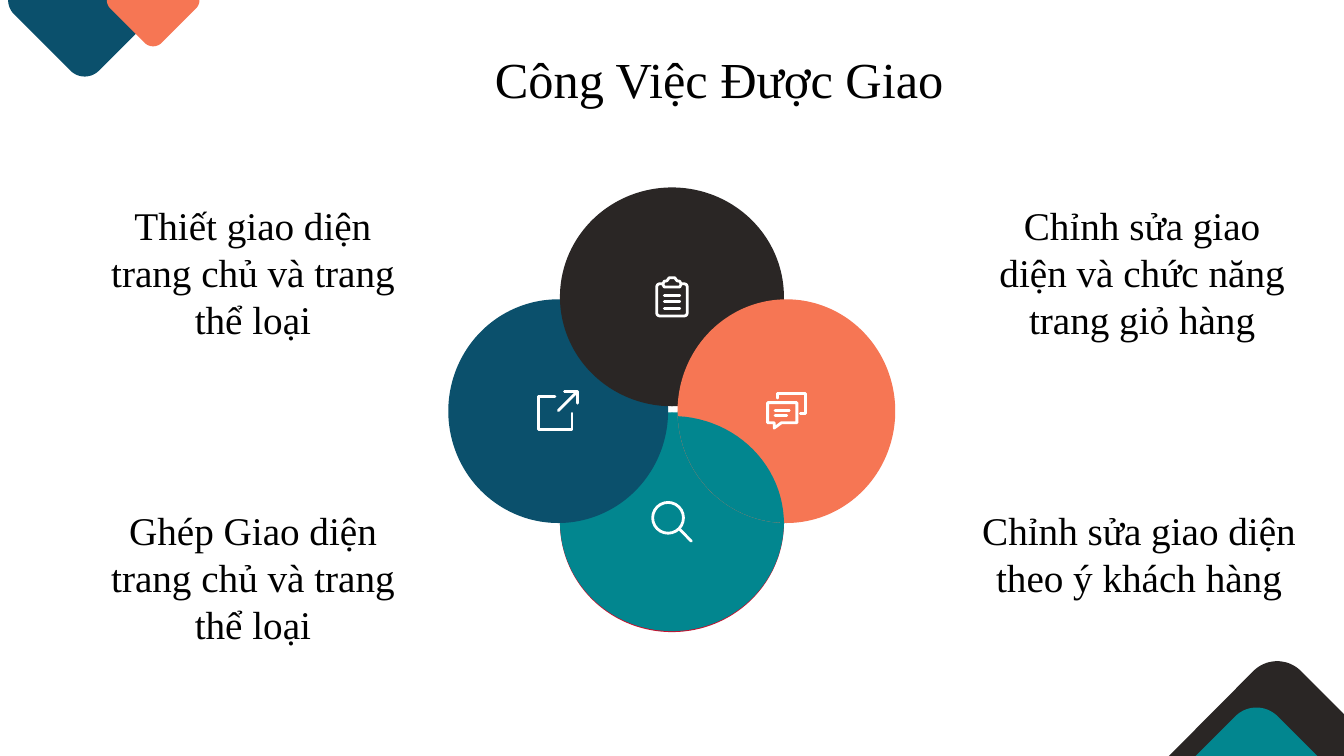
from math import cos, radians, sin

from lxml.etree import SubElement
from pptx import Presentation
from pptx.dml.color import RGBColor
from pptx.enum.shapes import MSO_CONNECTOR, MSO_SHAPE
from pptx.enum.text import MSO_ANCHOR, MSO_AUTO_SIZE, PP_ALIGN
from pptx.oxml.ns import qn
from pptx.util import Pt

NAVY = RGBColor(0x0B, 0x50, 0x6C)
CORAL = RGBColor(0xF6, 0x76, 0x54)
DARK = RGBColor(0x2A, 0x26, 0x25)
TEAL = RGBColor(0x02, 0x86, 0x8F)
RED = RGBColor(0xC5, 0x12, 0x2F)
WHITE = RGBColor(0xFF, 0xFF, 0xFF)
BLACK = RGBColor(0, 0, 0)
WIDTH, HEIGHT = 960, 540


def arc(cx, cy, rx, ry, start, end, steps=24):
    angles = [radians(start + (end - start) * i / steps) for i in range(steps + 1)]
    return [(cx + rx * cos(a), cy + ry * sin(a)) for a in angles]


def hanging_diamond(cx, half, r):
    reach = half - r
    return (arc(cx + reach, 0, r, r, 0, 45)
            + arc(cx, reach, r, r, 45, 135)
            + arc(cx - reach, 0, r, r, 135, 180))


def rising_tip(cx, top, r):
    return arc(cx, top + r, r, r, 225, 315)


class Deck:
    font = "Times New Roman"
    stroke = Pt(2)

    def __init__(self, prs):
        self.s = prs.slides.add_slide(prs.slide_layouts[5])

    def paint(self, sp, fill=None, line=None):
        sp.shadow.inherit = False
        if fill is None:
            sp.fill.background()
        else:
            sp.fill.solid()
            sp.fill.fore_color.rgb = fill
        if line is None:
            sp.line.fill.background()
        else:
            sp.line.color.rgb = line
            sp.line.width = self.stroke
            self.soften(sp)

    def soften(self, sp):
        ln = sp._element.spPr.find(qn("a:ln"))
        ln.set("cap", "rnd")
        SubElement(ln, qn("a:round"))

    def oval(self, x, y, w, h, fill=None, line=None):
        sp = self.s.shapes.add_shape(MSO_SHAPE.OVAL, Pt(x), Pt(y), Pt(w), Pt(h))
        self.paint(sp, fill, line)

    def card(self, x, y, w, h, line):
        sp = self.s.shapes.add_shape(MSO_SHAPE.ROUNDED_RECTANGLE, Pt(x), Pt(y), Pt(w), Pt(h))
        sp.adjustments[0] = 0.1
        self.paint(sp, line=line)

    def outline(self, points, fill=None, line=None, close=True):
        pts = [(Pt(x), Pt(y)) for x, y in points]
        builder = self.s.shapes.build_freeform(*pts[0])
        builder.add_line_segments(pts[1:], close=close)
        self.paint(builder.convert_to_shape(), fill, line)

    def line(self, x1, y1, x2, y2):
        sp = self.s.shapes.add_connector(MSO_CONNECTOR.STRAIGHT, Pt(x1), Pt(y1), Pt(x2), Pt(y2))
        sp.line.color.rgb = WHITE
        sp.line.width = self.stroke
        self.soften(sp)
        SubElement(sp._element.spPr, qn("a:effectLst"))

    def label(self, sp, text, size, align):
        tf = sp.text_frame
        tf.text = text
        tf.word_wrap = True
        tf.auto_size = MSO_AUTO_SIZE.NONE
        tf.vertical_anchor = MSO_ANCHOR.TOP
        p = tf.paragraphs[0]
        p.alignment = align
        r = p.runs[0]
        r.font.name = self.font
        r.font.size = Pt(size)
        r.font.color.rgb = BLACK

    def title(self, text, x, y, w, h):
        sp = self.s.shapes.title
        sp.left, sp.top, sp.width, sp.height = Pt(x), Pt(y), Pt(w), Pt(h)
        self.label(sp, text, 36, PP_ALIGN.LEFT)

    def task(self, text, x, y, w, h):
        sp = self.s.shapes.add_textbox(Pt(x), Pt(y), Pt(w), Pt(h))
        self.label(sp, text, 28, PP_ALIGN.CENTER)

    def corners(self):
        self.outline(hanging_diamond(60.5, 54.7, 14.4), NAVY)
        self.outline(hanging_diamond(109.4, 33.1, 8.7), CORAL)
        self.outline(rising_tip(912.3, 472.3, 24)
                     + [(WIDTH, 510.2), (WIDTH, HEIGHT), (835, HEIGHT)], DARK)
        self.outline(rising_tip(897.5, 505.4, 21.4)
                     + [(941, HEIGHT), (854, HEIGHT)], TEAL)

    def petals(self):
        self.oval(400, 295.2, 160, 156.3, RED)
        self.oval(400, 294.5, 160, 156.3, TEAL)
        self.oval(320.2, 213.8, 157, 159.8, NAVY)
        self.oval(400, 133.9, 160, 156.3, DARK)
        self.oval(484, 213.8, 155.5, 159.8, CORAL)
        self.outline(arc(480, 374.2, 80, 77, -87, 0)
                     + arc(561.75, 293.7, 77.75, 79.9, 91, 180), TEAL)

    def share_icon(self):
        self.outline([(396.4, 283.3), (384.8, 283.3), (384.8, 307.1),
                      (408.6, 307.1), (408.6, 295.2)], line=WHITE, close=False)
        self.outline([(403.2, 279.7), (412.4, 279.7), (412.4, 288)], line=WHITE, close=False)
        self.line(398.8, 293.3, 412.4, 279.7)

    def clipboard_icon(self):
        self.card(469.1, 202.7, 21.8, 23, WHITE)
        half = [(-5.5, 205), (-6.6, 203), (-5.5, 200.9), (-3.6, 200.6), (-2, 198.4)]
        clip = half + [(-dx, y) for dx, y in reversed(half)]
        self.outline([(480 + dx, y) for dx, y in clip], DARK, WHITE)
        for y in (211, 215.6, 220.2):
            self.line(474.6, y, 485.6, y)

    def chat_icon(self):
        self.outline([(555.4, 284.4), (555.4, 281.2), (575.6, 281.2),
                      (575.6, 295.6), (571.7, 295.6)], line=WHITE, close=False)
        self.outline([(548.3, 287.6), (569.2, 287.6), (569.2, 302), (558.2, 302),
                      (553, 305.8), (553, 302), (548.3, 302)], line=WHITE)
        for y, end in ((293, 563.8), (296.6, 562)):
            self.line(553.6, y, end, y)

    def search_icon(self):
        self.oval(466.2, 358.9, 22, 22, line=WHITE)
        self.line(485.6, 378.2, 493.9, 386.6)


def main():
    prs = Presentation()
    prs.slide_width, prs.slide_height = Pt(WIDTH), Pt(HEIGHT)
    deck = Deck(prs)
    deck.corners()
    deck.title("Công Việc Được Giao", 346.3, 31, 346.3, 51)
    deck.petals()
    deck.share_icon()
    deck.clipboard_icon()
    deck.chat_icon()
    deck.search_icon()
    upper, lower = 140.4, 357.8
    for text, x, y, w, h in (
        ("Thiết giao diện trang chủ và trang thể loại", 62.6, upper, 236.2, 108.7),
        ("Ghép Giao diện trang chủ và trang thể loại", 62.6, lower, 236.2, 108.7),
        ("Chỉnh sửa giao diện và chức năng trang giỏ hàng", 697.7, upper, 236.2, 108.7),
        ("Chỉnh sửa giao diện theo ý khách hàng", 692.6, lower, 242, 74.9),
    ):
        deck.task(text, x, y, w, h)
    prs.save("out.pptx")


if __name__ == "__main__":
    main()
